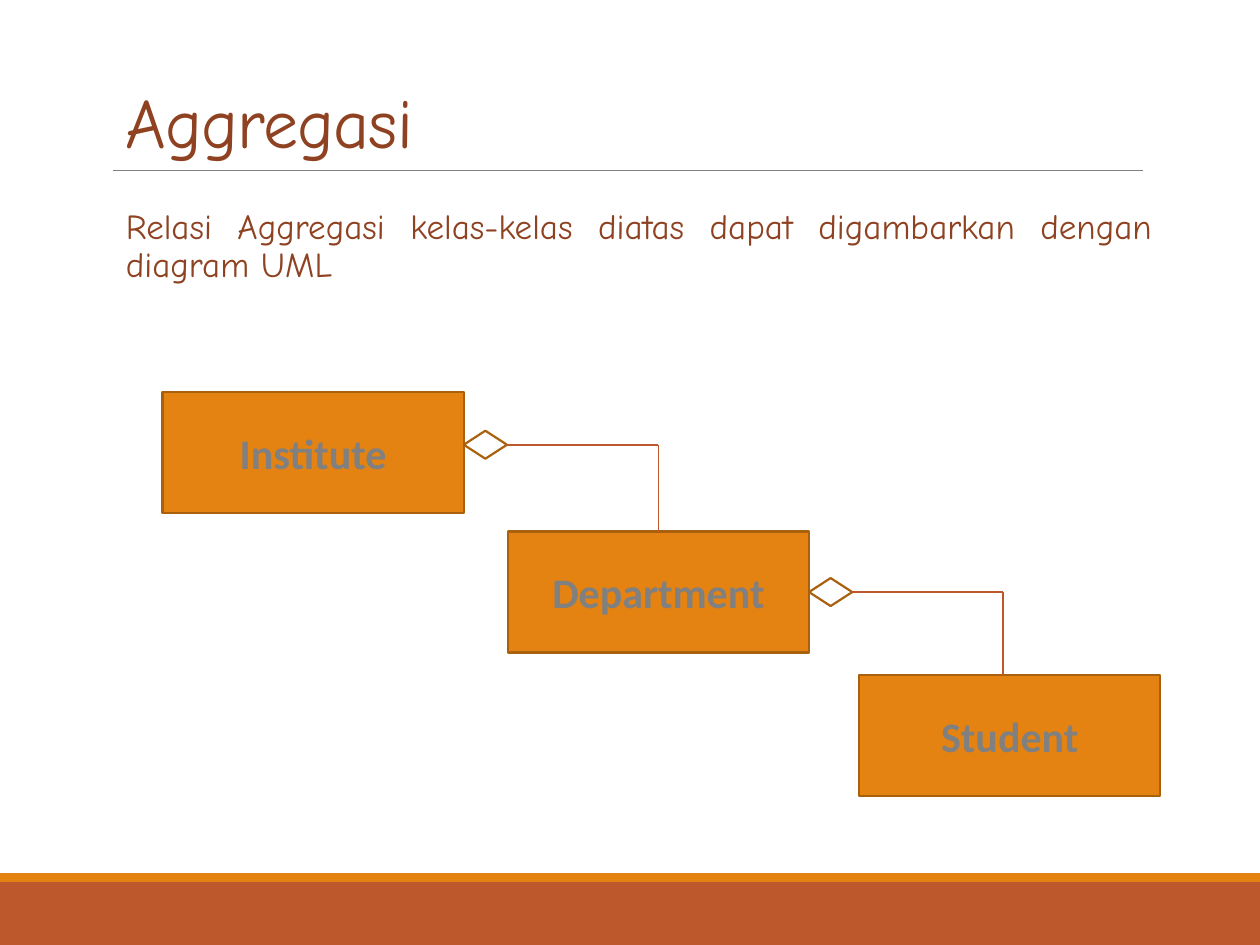
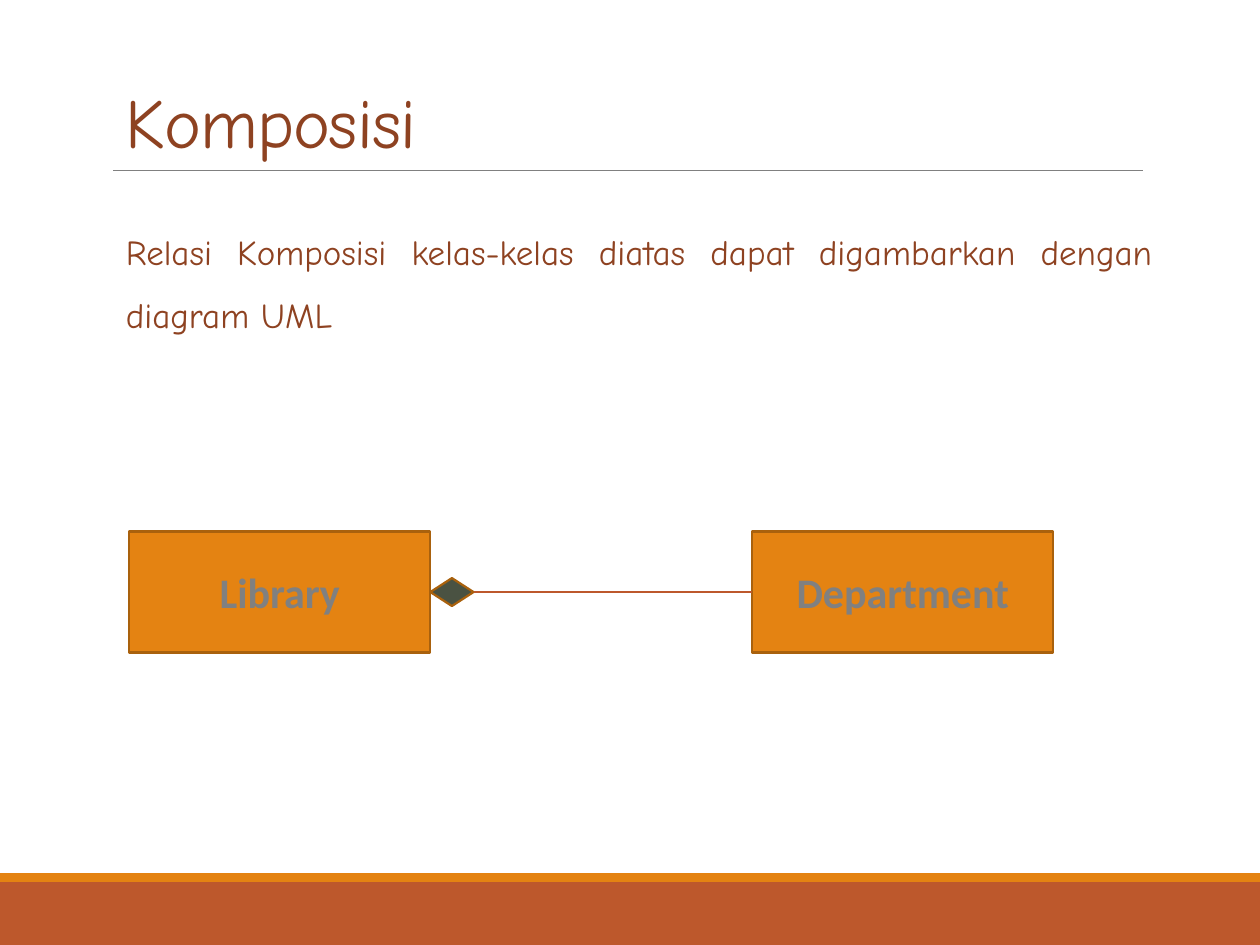
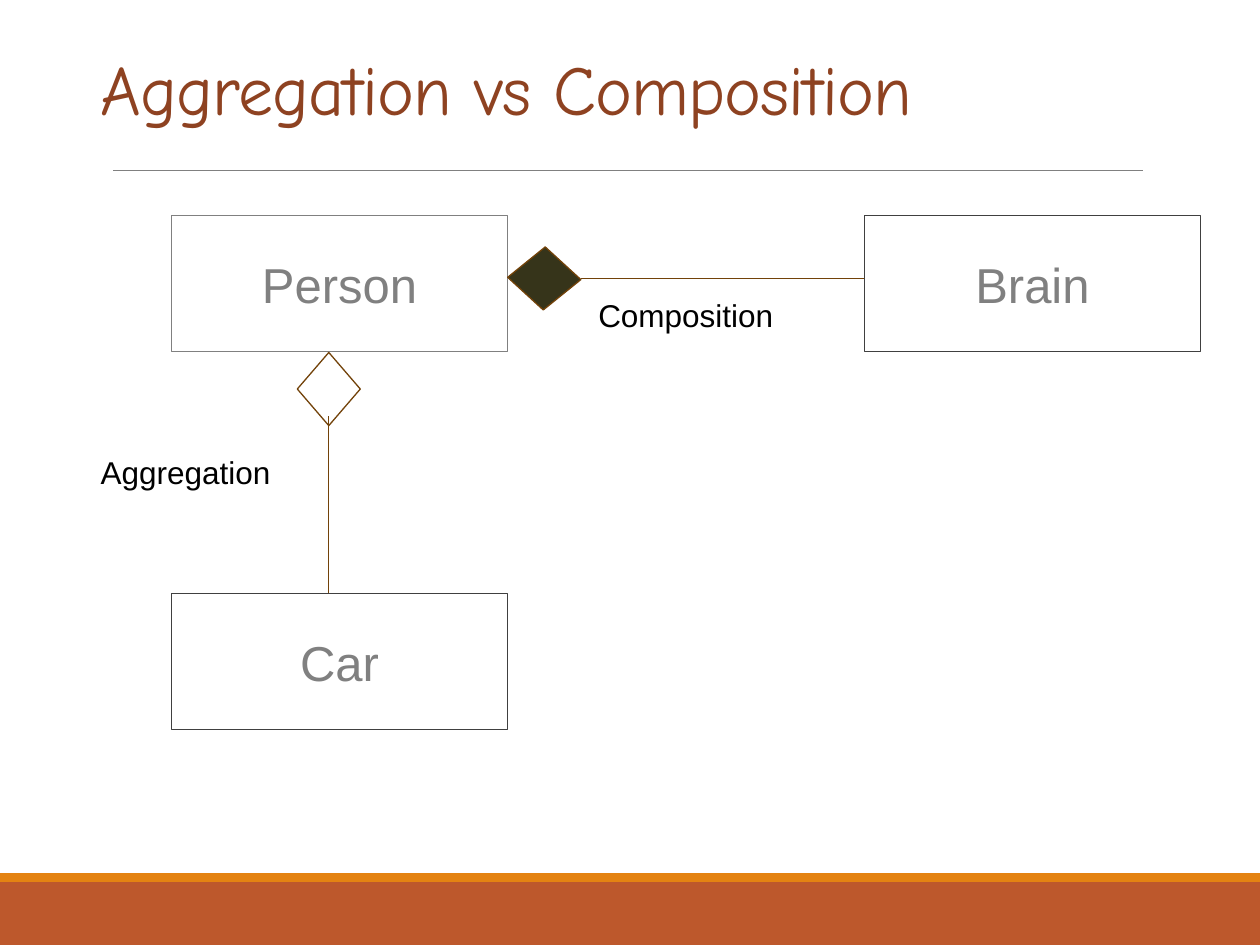
from dataclasses import dataclass
from typing import Any, NamedTuple, Optional

from lxml.etree import SubElement
from pptx import Presentation
from pptx.dml.color import RGBColor
from pptx.enum.shapes import MSO_CONNECTOR, MSO_SHAPE
from pptx.enum.text import MSO_ANCHOR, PP_ALIGN
from pptx.oxml.ns import qn
from pptx.util import Pt


class Ink(NamedTuple):
    color: str
    width: float


class Type(NamedTuple):
    font: str
    size: float
    color: str
    bold: bool = False


@dataclass(frozen=True)
class Theme:
    rust: str = "BD582C"
    gold: str = "E48312"
    rule: Ink = Ink("808080", 0.5)
    edge: Ink = Ink("A9610D", 1.25)
    link: Ink = Ink("BD582C", 1)
    pale: Ink = Ink("808080", 0.75)
    dark: Ink = Ink("404040", 0.75)
    brown: Ink = Ink("724209", 0.75)
    moss: str = "4A5242"
    olive: str = "36341A"
    title: Type = Type("Comic Neue", 40, "8E4221")
    body: Type = Type("Comic Neue", 20, "8E4221")
    node: Type = Type("Calibri", 24, "808080", True)
    plain: Type = Type("Arial", 28, "808080")
    label: Type = Type("Arial", 18, "000000")


THEME = Theme()


class Area(NamedTuple):
    left: float
    top: float
    width: float
    height: float

    @property
    def right(self) -> float:
        return self.left + self.width

    @property
    def base(self) -> float:
        return self.top + self.height

    @property
    def mid_x(self) -> float:
        return self.left + self.width / 2

    @property
    def mid_y(self) -> float:
        return self.top + self.height / 2

    def points(self) -> list[Pt]:
        return [Pt(value) for value in self]


class Form(NamedTuple):
    area: Area
    kind: MSO_SHAPE = MSO_SHAPE.RECTANGLE
    fill: Optional[str] = None
    ink: Optional[Ink] = None
    text: str = ""
    type: Type = THEME.node
    turn: float = 0


class Line(NamedTuple):
    x1: float
    y1: float
    x2: float
    y2: float
    ink: Ink = THEME.link


WIDTH, HEIGHT = 720, 540
TITLE = Area(64.8, 22.3, 594, 74.2)
BODY = Area(64.8, 115.9, 594, 346.3)
BANDS = (Form(Area(0, 504, WIDTH, 36), fill=THEME.rust),
         Form(Area(0, 499, WIDTH, 5), fill=THEME.gold))
RULE = Line(64.8, 97.2, 653, 97.2, THEME.rule)


def apply(target: Any, values: dict[str, Any]) -> None:
    for name, value in values.items():
        setattr(target, name, value)


def write(frame: Any, text: str, style: Type, layout: dict[str, Any],
          flow: dict[str, Any], track: int = 0) -> None:
    """Put one styled run in a frame; track is in hundredths of a point."""
    apply(frame, {"word_wrap": True, **layout})
    line = frame.paragraphs[0]
    apply(line, flow)
    run = line.add_run()
    run.text = text
    apply(run.font, {"name": style.font, "size": Pt(style.size), "bold": style.bold})
    run.font.color.rgb = RGBColor.from_string(style.color)
    if track:
        run.font._element.set("spc", str(track))


def stroke(line: Any, ink: Ink) -> None:
    line.color.rgb = RGBColor.from_string(ink.color)
    line.width = Pt(ink.width)


def draw_form(slide: Any, form: Form) -> None:
    shape = slide.shapes.add_shape(form.kind, *form.area.points())
    shape.shadow.inherit = False
    shape.rotation = form.turn
    if form.fill:
        shape.fill.solid()
        shape.fill.fore_color.rgb = RGBColor.from_string(form.fill)
    else:
        shape.fill.background()
    if form.ink:
        stroke(shape.line, form.ink)
    else:
        shape.line.fill.background()
    if form.text:
        write(shape.text_frame, form.text, form.type,
              {"vertical_anchor": MSO_ANCHOR.MIDDLE},
              {"alignment": PP_ALIGN.CENTER})


def draw_line(slide: Any, line: Line) -> None:
    ends = [Pt(value) for value in line[:4]]
    shape = slide.shapes.add_connector(MSO_CONNECTOR.STRAIGHT, *ends)
    stroke(shape.line, line.ink)
    SubElement(shape._element.spPr, qn("a:effectLst"))


def draw_text(slide: Any, area: Area, text: str, style: Type,
              layout: dict[str, Any], flow: dict[str, Any], track: int = 0) -> None:
    box = slide.shapes.add_textbox(*area.points())
    write(box.text_frame, text, style, layout, flow, track)


def draw_all(slide: Any, *parts: Form | Line) -> None:
    for part in parts:
        (draw_form if isinstance(part, Form) else draw_line)(slide, part)


def start(deck: Any, title: str, area: Area = TITLE) -> Any:
    """Add a slide with the shared bands, rule and title."""
    slide = deck.slides.add_slide(deck.slide_layouts[6])
    draw_all(slide, *BANDS, RULE)
    draw_text(slide, area, title, THEME.title,
              {"vertical_anchor": MSO_ANCHOR.BOTTOM}, {"line_spacing": 0.85}, -50)
    return slide


def draw_body(slide: Any, topic: str, flow: dict[str, Any]) -> None:
    text = f"Relasi {topic} kelas-kelas diatas dapat digambarkan dengan diagram UML"
    draw_text(slide, BODY, text, THEME.body,
              {"margin_left": Pt(7.2), "margin_right": 0},
              {"alignment": PP_ALIGN.JUSTIFY, **flow})


def node(text: str, left: float, top: float) -> Form:
    return Form(Area(left, top, 172.1, 69.1), fill=THEME.gold, ink=THEME.edge, text=text)


def gem(owner: Form, fill: Optional[str] = None, lift: float = 0) -> Form:
    """Diamond on the right edge of its owner, raised by lift."""
    area = owner.area
    spot = Area(area.right, area.mid_y - 8 - lift, 24.7, 16)
    return Form(spot, MSO_SHAPE.FLOWCHART_DECISION, fill, THEME.edge)


def elbow(mark: Form, x: float, part: Form) -> tuple[Line, Line]:
    """Lines from a diamond across to x and down to the part."""
    y = mark.area.mid_y
    return Line(mark.area.right, y, x, y), Line(x, y, x, part.area.top)


def add_aggregate(deck: Any) -> None:
    slide = start(deck, "Aggregasi")
    draw_body(slide, "Aggregasi",
              {"line_spacing": 0.9, "space_before": Pt(12), "space_after": Pt(2)})
    whole = node("Institute", 92.9, 223.9)
    group = node("Department", 290.2, 303.8)
    member = node("Student", 491, 385.9)
    first, second = gem(whole, lift=4.3), gem(group)
    draw_all(slide, whole, member, group, first, second,
             *elbow(first, group.area.mid_x, group), *elbow(second, 573.1, member))


def add_compose(deck: Any) -> None:
    slide = start(deck, "Komposisi")
    draw_body(slide, "Komposisi", {"line_spacing": 1.5})
    whole = node("Library", 73.8, 303.8)
    part = node("Department", 429.8, 303.8)
    mark = gem(whole, THEME.moss)
    y = mark.area.mid_y
    draw_all(slide, whole, part, mark, Line(mark.area.right, y, part.area.left, y))


def add_versus(deck: Any) -> None:
    slide = start(deck, "Aggregation vs Composition", Area(50.4, 18, 669.6, 59.8))
    left, top = 97.9, 123.1
    person, brain, car = [
        Form(Area(left + 396 * col, top + 216 * row, 192.2, 77.8),
             ink=ink, text=text, type=THEME.plain)
        for text, col, row, ink in (("Person", 0, 0, THEME.pale),
                                    ("Brain", 1, 0, THEME.dark),
                                    ("Car", 0, 1, THEME.dark))]
    hollow = Form(Area(169.9, 201.4, 36, 41.8), MSO_SHAPE.DIAMOND, ink=THEME.brown)
    solid = Form(Area(293, 138.2, 36, 41.8), MSO_SHAPE.DIAMOND,
                 THEME.olive, THEME.brown, turn=271.8)
    x, y = hollow.area.mid_x, solid.area.mid_y
    draw_all(slide, person, brain, car,
             Line(brain.area.left, y, 331.9, y, THEME.brown),
             Line(x, car.area.top, x, 237.6, THEME.brown), hollow, solid)
    for text, left, top in (("Aggregation", 50.4, 255.6), ("Composition", 334.8, 165.6)):
        draw_text(slide, Area(left, top, 138, 36), text, THEME.label, {}, {})


def main() -> None:
    deck = Presentation()
    apply(deck, {"slide_width": Pt(WIDTH), "slide_height": Pt(HEIGHT)})
    for add in (add_aggregate, add_compose, add_versus):
        add(deck)
    deck.save("out.pptx")


if __name__ == "__main__":
    main()
